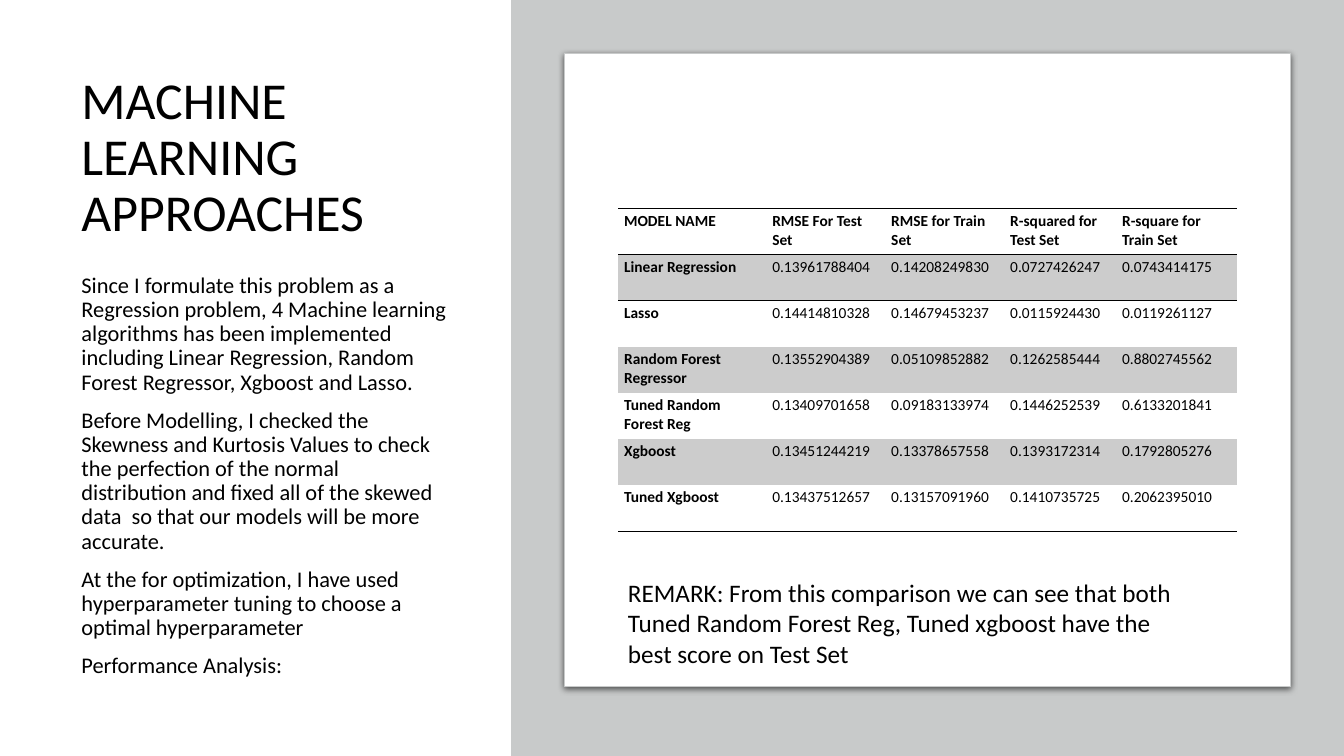
from lxml import etree
from pptx import Presentation
from pptx.dml.color import RGBColor
from pptx.enum.shapes import MSO_SHAPE
from pptx.enum.text import MSO_ANCHOR
from pptx.oxml import parse_xml
from pptx.oxml.ns import nsdecls, qn
from pptx.util import Inches, Pt

BLACK, WHITE, GREY, BAND = "000000", "FFFFFF", "C8CACA", "CCCCCC"
NO_STYLE_NO_GRID = "{2D5ABB26-0587-4C30-8999-92F81FD0307C}"


def color(hex_code):
    """Turn a hex string into a colour."""
    return RGBColor.from_string(hex_code)


def write(frame, paragraphs, size, bold=False, line_spacing=None, before=0):
    """Fill a text frame with black Calibri paragraphs."""
    frame.word_wrap = True
    for i, text in enumerate(paragraphs):
        paragraph = frame.paragraphs[0] if i == 0 else frame.add_paragraph()
        paragraph.space_before = Pt(before)
        if line_spacing:
            paragraph.line_spacing = line_spacing
        run = paragraph.add_run()
        run.text = text
        run.font.name = "Calibri"
        run.font.size = Pt(size)
        run.font.bold = bold
        run.font.color.rgb = color(BLACK)


prs = Presentation()
prs.slide_width, prs.slide_height = Inches(13.33), Inches(7.5)
slide = prs.slides.add_slide(prs.slide_layouts[6])
shapes = slide.shapes

# Left column
title = shapes.add_textbox(Inches(0.71), Inches(0.69), Inches(3.83), Inches(1.77))
title.text_frame.vertical_anchor = MSO_ANCHOR.MIDDLE
write(title.text_frame, ["MACHINE LEARNING APPROACHES"], 37, line_spacing=0.9)

body = shapes.add_textbox(Inches(0.71), Inches(2.67), Inches(3.83), Inches(4.14))
write(body.text_frame, [
    "Since I formulate this problem as a Regression problem, 4 Machine learning "
    "algorithms has been implemented including Linear Regression, Random Forest "
    "Regressor, Xgboost and Lasso.",
    "Before Modelling, I checked the Skewness and Kurtosis Values to check the "
    "perfection of the normal distribution and fixed all of the skewed data "
    "\u00a0so that our models will be more accurate.",
    "At the for optimization, I have used hyperparameter tuning to choose a "
    "optimal hyperparameter",
    "Performance Analysis:",
], 16, line_spacing=0.9, before=10)

# Grey panel and white card
panel = shapes.add_shape(MSO_SHAPE.RECTANGLE, Inches(5.07), 0, Inches(8.26), Inches(7.5))
panel.fill.solid()
panel.fill.fore_color.rgb = color(GREY)
panel.line.fill.background()
panel.shadow.inherit = False

card = shapes.add_shape(MSO_SHAPE.ROUNDED_RECTANGLE,
                        Inches(5.6), Inches(0.53), Inches(7.2), Inches(6.28))
card.adjustments[0] = 0
card.fill.solid()
card.fill.fore_color.rgb = color(WHITE)
card.line.color.rgb = color(GREY)
card.line.width = Pt(0.75)
card.shadow.inherit = False
card_effects = card._element.spPr.find(qn("a:effectLst"))
card_effects.append(parse_xml(
    f'<a:outerShdw {nsdecls("a")} blurRad="{Pt(4.5)}" dist="{Pt(1.5)}" dir="5400000" '
    f'algn="t" rotWithShape="0"><a:srgbClr val="{BLACK}"><a:alpha val="63000"/>'
    '</a:srgbClr></a:outerShdw>'))

# Model comparison table
scores = [
    ["MODEL NAME", "RMSE For Test Set", "RMSE for Train Set",
     "R-squared for Test Set", "R-square for \nTrain Set"],
    ["Linear Regression", "0.13961788404", "0.14208249830", "0.0727426247", "0.0743414175"],
    ["Lasso ", "0.14414810328", "0.14679453237", "0.0115924430", "0.0119261127"],
    ["Random Forest Regressor", "0.13552904389", "0.05109852882", "0.1262585444", "0.8802745562"],
    ["Tuned Random Forest Reg", "0.13409701658", "0.09183133974", "0.1446252539", "0.6133201841"],
    ["Xgboost", "0.13451244219", "0.13378657558", "0.1393172314", "0.1792805276"],
    ["Tuned Xgboost", "0.13437512657", "0.13157091960", "0.1410735725", "0.2062395010"],
]
last_row = len(scores) - 1
frame = shapes.add_table(len(scores), len(scores[0]),
                         Inches(6.13), Inches(2.07), Inches(6.14), Inches(3.2))
table = frame.table
table._tbl.tblPr.find(qn("a:tableStyleId")).text = NO_STYLE_NO_GRID
for column, width in zip(table.columns, [1.47, 1.18, 1.18, 1.11, 1.2]):
    column.width = Inches(width)

for r, values in enumerate(scores):
    table.rows[r].height = Inches(3.2 / len(scores))
    edges = {0: ["lnT", "lnB"], 1: ["lnT"], last_row: ["lnB"]}.get(r, [])
    for c, value in enumerate(values):
        cell = table.cell(r, c)
        cell.margin_left = cell.margin_right = Inches(0.06)
        cell.margin_top = cell.margin_bottom = Inches(0.03)
        write(cell.text_frame, value.split("\n"), 11, bold=r == 0 or c == 0)
        properties = cell._tc.get_or_add_tcPr()
        for edge in edges:
            border = etree.SubElement(properties, qn(f"a:{edge}"), w=str(Pt(1)))
            fill = etree.SubElement(border, qn("a:solidFill"))
            etree.SubElement(fill, qn("a:srgbClr"), val=BLACK)
        if r % 2:
            cell.fill.solid()
            cell.fill.fore_color.rgb = color(BAND)
        else:
            cell.fill.background()

remark = shapes.add_textbox(Inches(6.13), Inches(5.68), Inches(5.84), Inches(1.01))
write(remark.text_frame, [
    "REMARK: From this comparison we can see that both Tuned Random Forest Reg, "
    "Tuned xgboost have the best score on Test Set"], 18)

prs.save("out.pptx")
